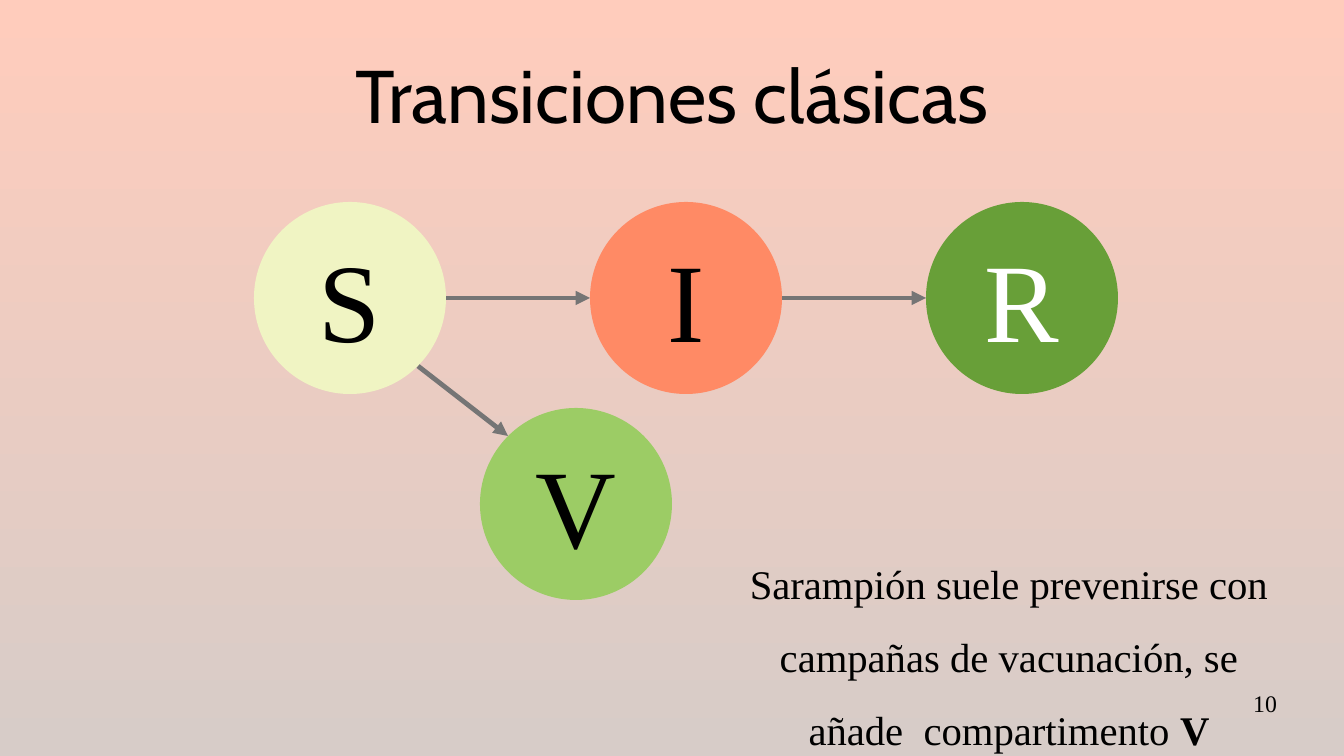
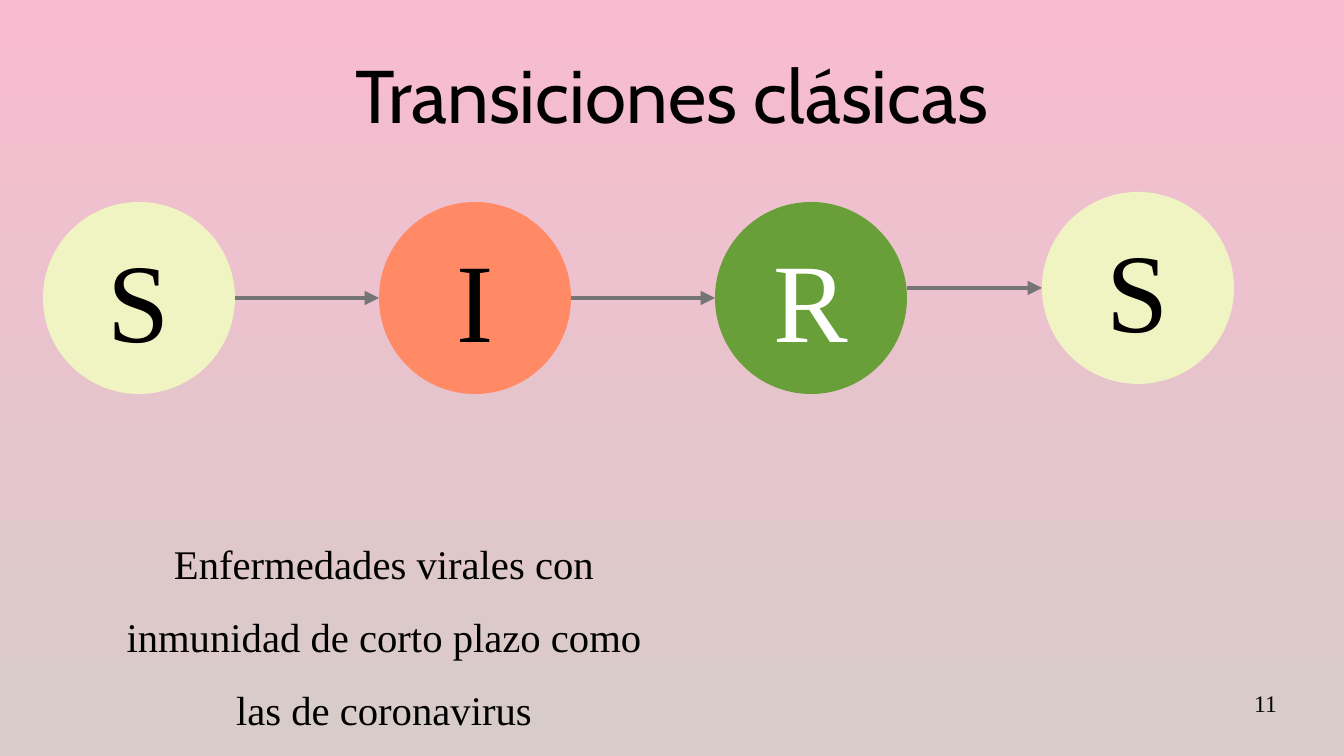
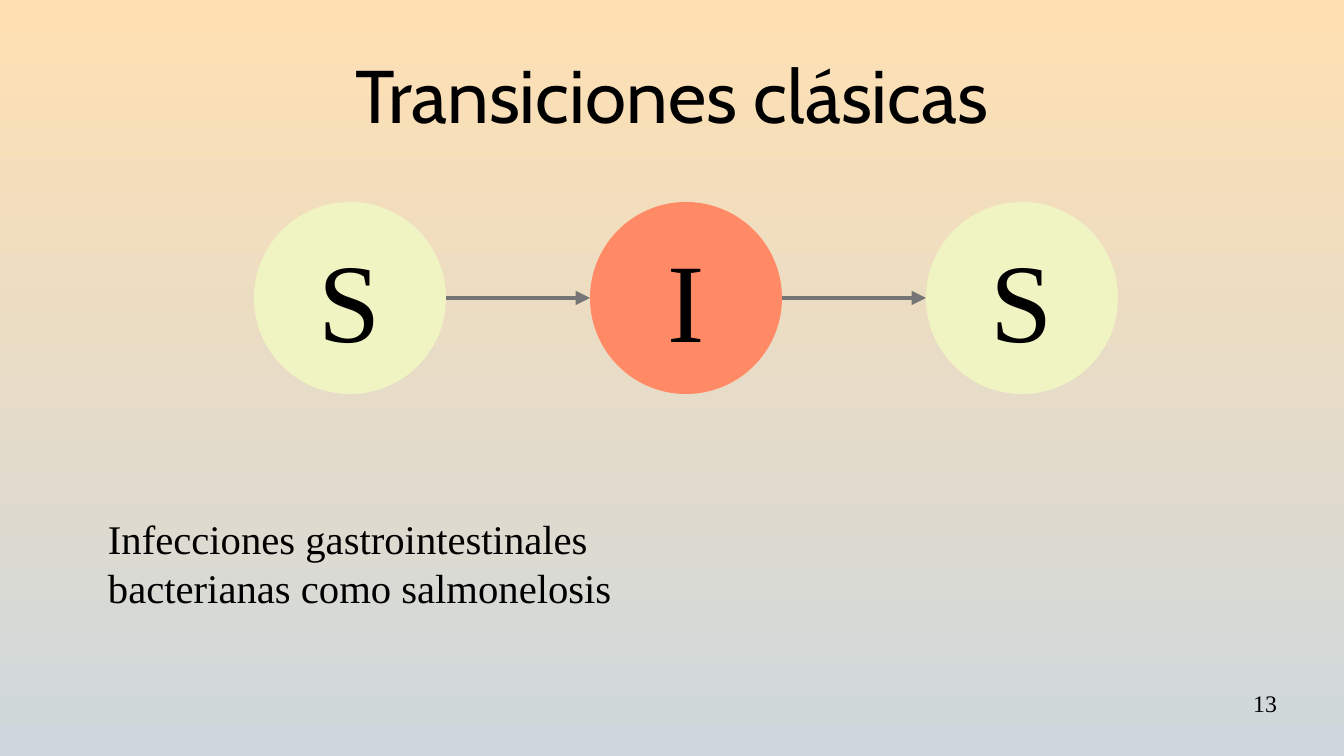
"""Three slides of classic compartment models: SIRV, SIRS and SIS."""
from lxml import etree
from pptx import Presentation, util as u
from pptx.dml.color import RGBColor
from pptx.enum import shapes, text
from pptx.oxml.ns import qn

PX = 914400 / 122
HUE = {"ink": "000000", "white": "FFFFFF", "line": "757575",
       "S": "F0F4C3", "I": "FF8A65", "R": "689F38", "V": "9CCC65"}
SERIF = "Times New Roman"
LEFT, MID, RIGHT = text.PP_ALIGN.LEFT, text.PP_ALIGN.CENTER, text.PP_ALIGN.RIGHT
FIT = text.MSO_AUTO_SIZE
BARE = {"margin_left": 0, "margin_top": 0, "margin_right": 0, "margin_bottom": 0}
HALF = {"vertical_anchor": text.MSO_ANCHOR.MIDDLE}
LOOK = {
    "title": ({"name": "Cabin", "size": u.Pt(44)}, {"alignment": MID}, BARE | HALF),
    "node": ({"name": SERIF, "size": u.Pt(66)}, {"alignment": MID}, HALF),
    "note": ({"name": SERIF, "size": u.Pt(24)}, {}, {"auto_size": FIT.SHAPE_TO_FIT_TEXT}),
    "page": ({"name": SERIF, "size": u.Pt(14)}, {"alignment": RIGHT}, BARE),
}
SIZE, STEP, ROW = 192, 336, 202
AXIS = ROW + SIZE // 2


def px(*vals):
    return [round(v * PX) for v in vals]


def write(shape, look, runs, hue="ink", **para):
    font, base, box = LOOK[look]
    frame = shape.text_frame
    par = frame.paragraphs[0]
    for obj, fmt in ((frame, {"auto_size": FIT.NONE, "word_wrap": True} | box),
                     (par, base | para)):
        for key, val in fmt.items():
            setattr(obj, key, val)
    for words, bold in runs:
        run = par.add_run()
        run.text = words
        run.font.color.rgb = RGBColor.from_string(HUE[hue])
        for key, val in (font | {"bold": bold}).items():
            setattr(run.font, key, val)


DECK = [
    {"page": "10", "sky": ("FFCCBC", "D7CCC8"),
     "nodes": [(c, 254 + i * STEP, ROW) for i, c in enumerate("SIR")] + [("V", 480, 408)],
     "lines": [(446, AXIS, 590, AXIS), (782, AXIS, 926, AXIS), (418, 366, 508, 436)],
     "box": (721, 528, 576, 195), "para": {"alignment": MID, "line_spacing": 1.5},
     "note": [("Sarampión suele prevenirse con campañas de vacunación, "
               "se añade  compartimento ", False), ("V", True)]},
    {"page": "11", "sky": ("F8BBD0", "D7CCC8"),
     "nodes": [(c, 43 + i * STEP, ROW) for i, c in enumerate("SIR")] + [("S", 1042, 192)],
     "lines": [(235, AXIS, 379, AXIS), (571, AXIS, 715, AXIS), (907, 288, 1042, 288)],
     "box": (96, 508, 576, 195), "para": {"alignment": MID, "line_spacing": 1.5},
     "note": [("Enfermedades virales con inmunidad de corto plazo "
               "como las de coronavirus", False)]},
    {"page": "13", "sky": ("FFE0B2", "CFD8DC"),
     "nodes": [(c, 254 + i * STEP, ROW) for i, c in enumerate("SIS")],
     "lines": [(446, AXIS, 590, AXIS), (782, AXIS, 926, AXIS)],
     "box": (96, 508, 576, 94), "para": {"alignment": LEFT},
     "note": [("Infecciones gastrointestinales bacterianas como salmonelosis", False)]},
]

prs = Presentation()
prs.slide_width, prs.slide_height = px(1344, 756)

for data in DECK:
    slide = prs.slides.add_slide(prs.slide_layouts[5])
    sky = slide.background.fill
    sky.gradient()
    sky.gradient_angle = 270
    for stop, hue in zip(sky.gradient_stops, data["sky"]):
        stop.color.rgb = RGBColor.from_string(hue)

    title = slide.shapes.title
    title.left, title.top, title.width, title.height = px(67, 30, 1210, 127)
    write(title, "title", [("Transiciones clásicas", False)])

    for ends in data["lines"]:
        line = slide.shapes.add_connector(shapes.MSO_CONNECTOR.STRAIGHT, *px(*ends))
        line.line.color.rgb = RGBColor.from_string(HUE["line"])
        line.line.width = u.Pt(2.83)
        etree.SubElement(line.line._get_or_add_ln(), qn("a:tailEnd"), type="triangle")
        etree.SubElement(line._element.spPr, qn("a:effectLst"))

    for mark, x, y in data["nodes"]:
        node = slide.shapes.add_shape(shapes.MSO_SHAPE.OVAL, *px(x, y, SIZE, SIZE))
        node.shadow.inherit = False
        node.fill.solid()
        node.fill.fore_color.rgb = RGBColor.from_string(HUE[mark])
        node.line.fill.background()
        write(node, "node", [(mark, False)], "white" if mark == "R" else "ink")

    note = slide.shapes.add_textbox(*px(*data["box"]))
    write(note, "note", data["note"], **data["para"])
    page = slide.shapes.add_textbox(*px(964, 689, 313, 52))
    write(page, "page", [(data["page"], False)])

prs.save("out.pptx")
